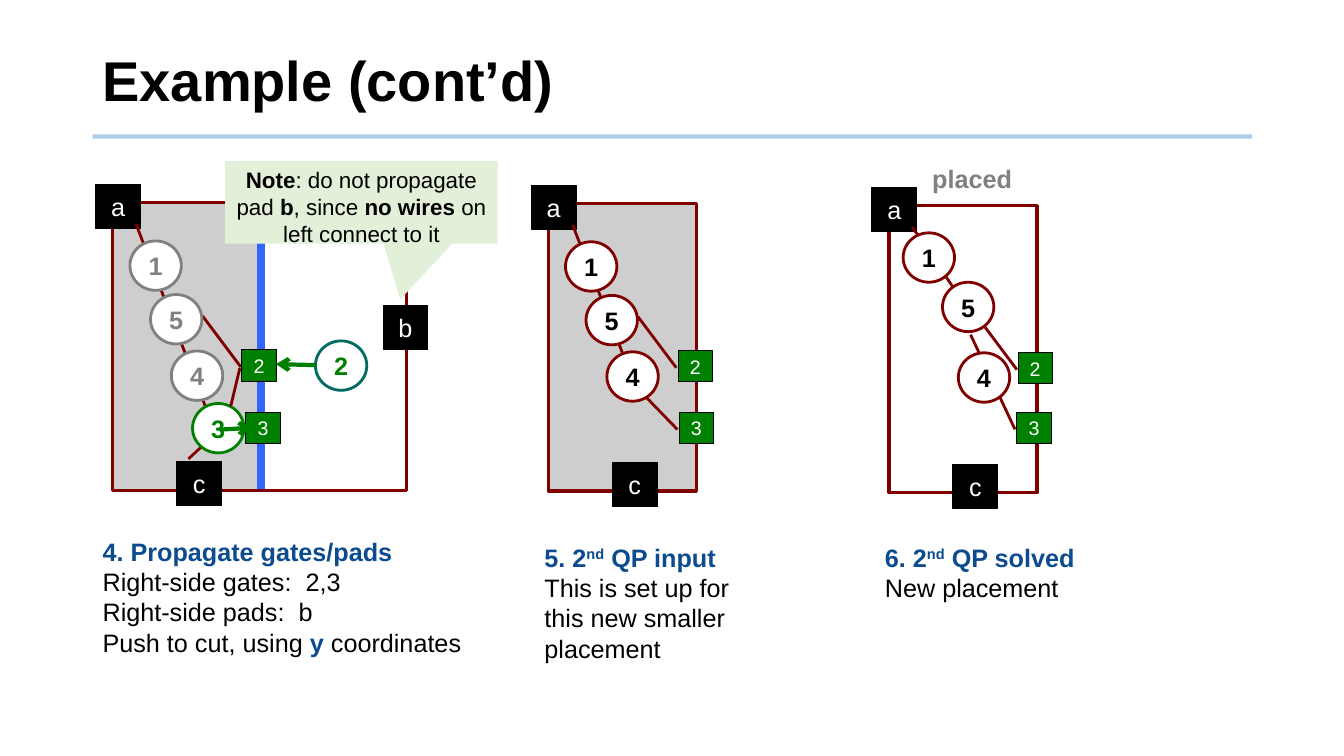
from dataclasses import dataclass

from lxml.etree import SubElement
from pptx import Presentation
from pptx.dml.color import RGBColor
from pptx.enum.shapes import MSO_CONNECTOR, MSO_SHAPE
from pptx.enum.text import MSO_ANCHOR, PP_ALIGN
from pptx.oxml.ns import qn
from pptx.util import Pt

BLACK = RGBColor(0x00, 0x00, 0x00)
WHITE = RGBColor(0xFF, 0xFF, 0xFF)
GRAY = RGBColor(0x80, 0x80, 0x80)
SHADE = RGBColor(0xCE, 0xCE, 0xCE)
MAROON = RGBColor(0x80, 0x00, 0x00)
GREEN = RGBColor(0x00, 0x80, 0x00)
TEAL = RGBColor(0x00, 0x6B, 0x61)
NAVY = RGBColor(0x0B, 0x4B, 0x8E)
CUT_BLUE = RGBColor(0x33, 0x66, 0xFF)
RULE_BLUE = RGBColor(0x5B, 0x9B, 0xD5)
NOTE_GREEN = RGBColor(0xE2, 0xF0, 0xD9)


@dataclass
class Style:
    size: float = 18
    color: RGBColor = BLACK
    bold: bool = False
    superscript: bool = False


BODY = Style()
HEADING = Style(color=NAVY, bold=True)
ORDINAL = Style(color=NAVY, bold=True, superscript=True)
NOTE = Style(size=16)
NOTE_BOLD = Style(size=16, bold=True)
PAD_TEXT = Style(color=WHITE)
CUT_PAD_TEXT = Style(size=14, color=WHITE)


class Diagram:
    """Draws on one slide, measured in points from a movable origin."""

    font = "Arial"
    pad_size = (32, 31.2)
    gate_size = (36.7, 35.3)
    cut_pad_size = (24.5, 22.3)

    def __init__(self, slide):
        self.shapes = slide.shapes
        self.move_to(0, 0)

    def move_to(self, x, y):
        self.x, self.y = x, y

    def at(self, x, y):
        return Pt(self.x + x), Pt(self.y + y)

    def fill_text(self, tf, paragraphs, align=PP_ALIGN.LEFT):
        """Write paragraphs of (text, style) spans; a newline is a line break."""
        for i, spans in enumerate(paragraphs):
            p = tf.add_paragraph() if i else tf.paragraphs[0]
            p.alignment = align
            for text, style in spans:
                for j, line in enumerate(text.split("\n")):
                    if j:
                        p.add_line_break()
                    r = p.add_run()
                    r.text = line
                    r.font.name = self.font
                    r.font.size = Pt(style.size)
                    r.font.bold = style.bold
                    r.font.color.rgb = style.color
                    if style.superscript:
                        r.font._element.set("baseline", "30000")

    def text(self, x, y, w, h, paragraphs):
        tf = self.shapes.add_textbox(*self.at(x, y), Pt(w), Pt(h)).text_frame
        tf.word_wrap = True
        self.fill_text(tf, paragraphs)
        return tf

    def shape(self, kind, x, y, w, h, fill=None, line=None, width=0.75):
        s = self.shapes.add_shape(kind, *self.at(x, y), Pt(w), Pt(h))
        s.shadow.inherit = False
        if fill is None:
            s.fill.background()
        else:
            s.fill.solid()
            s.fill.fore_color.rgb = fill
        if line is None:
            s.line.fill.background()
        else:
            s.line.color.rgb = line
            s.line.width = Pt(width)
        return s

    def label(self, s, text, style):
        tf = s.text_frame
        tf.margin_left = tf.margin_right = 0
        tf.vertical_anchor = MSO_ANCHOR.MIDDLE
        tf.word_wrap = False
        self.fill_text(tf, [[(text, style)]], PP_ALIGN.CENTER)

    def pad(self, name, x, y):
        s = self.shape(MSO_SHAPE.RECTANGLE, x, y, *self.pad_size, BLACK, BLACK)
        self.label(s, name, PAD_TEXT)

    def cut_pad(self, name, x, y):
        s = self.shape(MSO_SHAPE.RECTANGLE, x, y, *self.cut_pad_size, GREEN, BLACK)
        self.label(s, name, CUT_PAD_TEXT)

    def gate(self, name, x, y, line=MAROON, color=BLACK):
        s = self.shape(MSO_SHAPE.OVAL, x, y, *self.gate_size, WHITE, line, 2)
        self.label(s, name, Style(color=color, bold=True))

    def line(self, x1, y1, x2, y2, color=MAROON, width=2, arrow=False, opacity=None):
        c = self.shapes.add_connector(
            MSO_CONNECTOR.STRAIGHT, *self.at(x1, y1), *self.at(x2, y2))
        c.line.color.rgb = color
        c.line.width = Pt(width)
        ln = c.line._get_or_add_ln()
        if opacity is not None:
            alpha = SubElement(ln.find(".//" + qn("a:srgbClr")), qn("a:alpha"))
            alpha.set("val", str(opacity * 1000))
        if arrow:
            SubElement(ln, qn("a:tailEnd")).set("type", "arrow")
        SubElement(c._element.spPr, qn("a:effectLst"))

    def region(self, x, y, width, shaded, wires):
        """Start a panel: frame, pads a and c, and wires under the gates."""
        self.move_to(x, y)
        if shaded:
            self.shape(MSO_SHAPE.RECTANGLE, -0.5, 0.5, 106.5, 205.2, SHADE)
        if width > HALF:
            self.line(HALF, 0, HALF, 205.2, CUT_BLUE, 6)
        self.shape(MSO_SHAPE.RECTANGLE, 0, 0, width, 205.2, None, MAROON, 2.25)
        self.pad("a", -12.2, -13)
        self.pad("c", 45.7, 185)
        for wire in [(64.1, 80.8, 91.4, 117.2), *wires]:
            self.line(*wire)


HALF = 105.8
FIRST_GATES = {"1": (12.2, 27.2), "5": (26.9, 65.5), "4": (41.8, 105.8)}
SOLVED_GATES = {"1": (10.1, 19.4), "5": (38.2, 54.7), "4": (49.5, 105.1)}


def main():
    prs = Presentation()
    prs.slide_width, prs.slide_height = Pt(960), Pt(540)
    d = Diagram(prs.slides.add_slide(prs.slide_layouts[6]))

    d.line(66.2, 97.5, 894.2, 97.5, RULE_BLUE, 3, opacity=50)
    title = d.text(66.2, 20.2, 828, 79.2,
                   [[("Example (cont’d)", Style(size=40, bold=True))]])
    title.vertical_anchor = MSO_ANCHOR.MIDDLE
    title.paragraphs[0].line_spacing = 0.9

    d.text(66.2, 379.5, 290, 94.3, [
        [("4. Propagate gates/pads", HEADING)],
        [("Right-side gates:  2,3", BODY)],
        [("Right-side pads:  b", BODY)],
        [("Push to cut, using", BODY), (" y", HEADING), (" coordinates", BODY)],
    ])
    d.text(381.8, 383.8, 188.6, 121, [
        [("5. 2", HEADING), ("nd", ORDINAL), (" QP input", HEADING)],
        [("This is set up for\nthis new smaller\nplacement", BODY)],
    ])
    d.text(625, 383.8, 202.3, 64.8, [
        [("6. 2", HEADING), ("nd", ORDINAL), (" QP solved", HEADING)],
        [("New placement", BODY)],
    ])
    d.text(658.8, 113, 92.2, 37.4, [[("placed", Style(color=GRAY, bold=True))]])

    # Step 4: gates and pads pushed to the cut
    d.region(80.6, 144.9, 209.5, True,
             [(64.1, 173.5, 54, 182.9), (16.6, 15.1, 71.3, 159.1)])
    d.pad("b", 193, 73.4)
    d.gate("2", 144.7, 98.6, TEAL, GREEN)
    d.gate("3", 56.9, 143.3, GREEN, GREEN)
    for name, spot in FIRST_GATES.items():
        d.gate(name, *spot, GRAY, GRAY)
    d.cut_pad("2", 92.2, 105)
    d.line(144.7, 115.9, 116.6, 115.2, GREEN, 3, arrow=True)
    d.line(90.7, 118.1, 84.2, 145.4)
    d.cut_pad("3", 95, 149.6)
    d.line(76.3, 162, 99.4, 160.6, GREEN, 3, arrow=True)

    # Step 5: the left half as a new problem
    d.region(391.7, 145.5, HALF, True,
             [(92.2, 161.3, 69.8, 138.2), (17.3, 15.1, 54, 109.4)])
    for name, spot in FIRST_GATES.items():
        d.gate(name, *spot)
    d.cut_pad("2", 92.7, 105)
    d.cut_pad("3", 93.4, 149)

    # Step 6: the left half solved
    d.region(635, 146.9, HALF, False,
             [(90, 159.8, 58.3, 92.2), (16.6, 15.1, 52.6, 68.4)])
    for name, spot in SOLVED_GATES.items():
        d.gate(name, *spot)
    d.cut_pad("2", 92.2, 105)
    d.cut_pad("3", 91.4, 147.6)

    d.move_to(0, 0)
    note = d.shape(MSO_SHAPE.RECTANGULAR_CALLOUT, 161.2, 115.4, 193.9, 58.3,
                   NOTE_GREEN, NOTE_GREEN)
    note.adjustments[0], note.adjustments[1] = 0.144, 1.177
    note.text_frame.word_wrap = True
    note.text_frame.vertical_anchor = MSO_ANCHOR.TOP
    d.fill_text(note.text_frame, [[
        ("Note", NOTE_BOLD), (": do not propagate pad ", NOTE), ("b", NOTE_BOLD),
        (", since ", NOTE), ("no wires", NOTE_BOLD),
        (" on left connect to it", NOTE),
    ]], PP_ALIGN.CENTER)

    prs.save("out.pptx")


if __name__ == "__main__":
    main()
